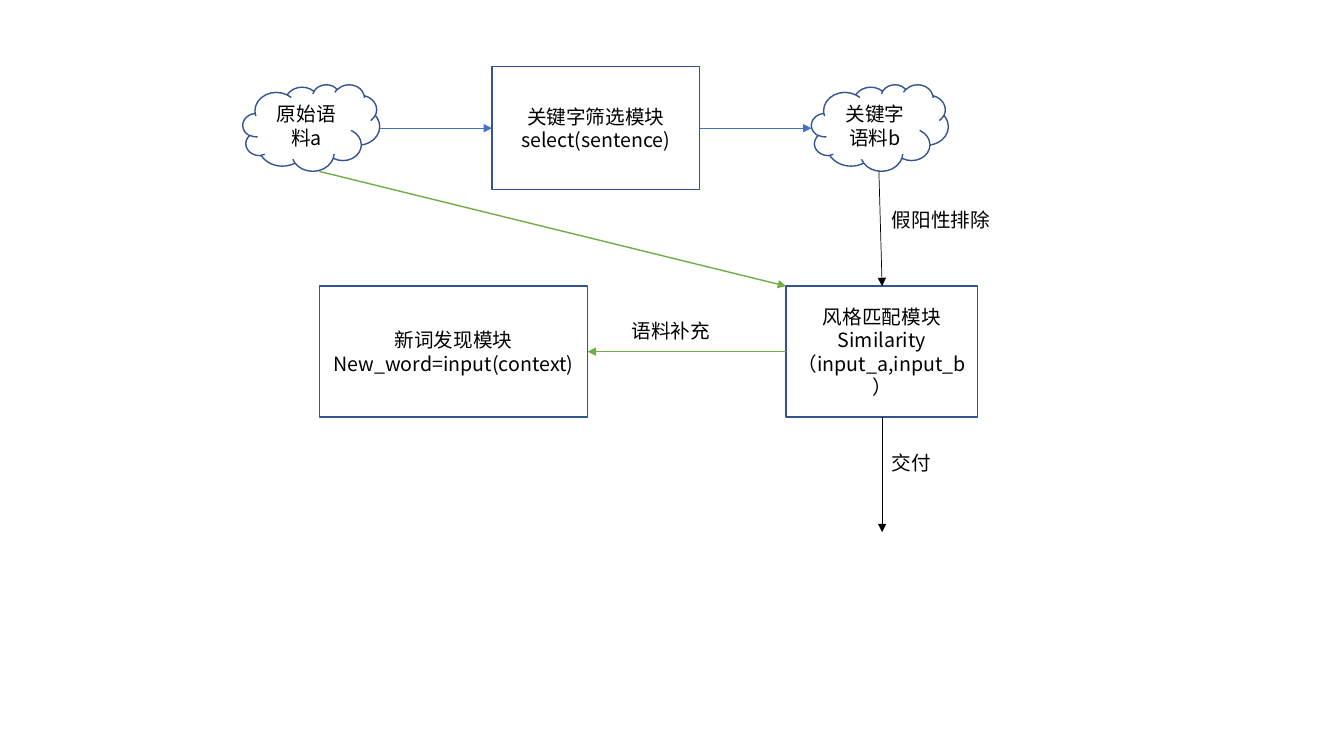
from lxml import etree
from pptx import Presentation
from pptx import util as u
from pptx.dml import color
from pptx.enum import shapes, text
from pptx.oxml import ns

FONT = "Noto Sans CJK SC"
BLACK, WHITE, NAVY, BLUE, GREEN = "000000", "FFFFFF", "325491", "4472C4", "70AD47"
RECTANGLE = shapes.MSO_SHAPE.RECTANGLE
CLOUD = shapes.MSO_SHAPE.CLOUD


def rgb(value):
    return color.RGBColor.from_string(value)


def write(frame, lines, align):
    frame.text = "\n".join(lines)
    for para in frame.paragraphs:
        para.alignment = align
        para.font.size = u.Pt(14)
        para.font.color.rgb = rgb(BLACK)
        para.font.name = FONT
        properties = para._p.pPr.find(ns.qn("a:defRPr"))
        etree.SubElement(properties, ns.qn("a:ea"), typeface=FONT)


def add_node(page, kind, left, top, width, height, *lines):
    node = page.shapes.add_shape(kind, u.Cm(left), u.Cm(top), u.Cm(width), u.Cm(height))
    node.shadow.inherit = False
    node.fill.solid()
    node.fill.fore_color.rgb = rgb(WHITE)
    node.line.color.rgb = rgb(NAVY)
    node.line.width = u.Pt(1)
    node.text_frame.word_wrap = True
    node.text_frame.vertical_anchor = text.MSO_ANCHOR.MIDDLE
    write(node.text_frame, lines, text.PP_ALIGN.CENTER)


def add_label(page, left, top, width, wording):
    box = page.shapes.add_textbox(u.Cm(left), u.Cm(top), u.Cm(width), u.Cm(0.86))
    box.text_frame.word_wrap = False
    box.text_frame.auto_size = text.MSO_AUTO_SIZE.SHAPE_TO_FIT_TEXT
    write(box.text_frame, [wording], text.PP_ALIGN.LEFT)


def add_arrow(page, start, end, colour, width):
    arrow = page.shapes.add_connector(
        shapes.MSO_CONNECTOR.STRAIGHT, *(u.Cm(value) for value in start + end)
    )
    arrow.line.color.rgb = rgb(colour)
    arrow.line.width = u.Pt(width)
    etree.SubElement(arrow.line._get_or_add_ln(), ns.qn("a:tailEnd"), type="triangle")
    etree.SubElement(arrow._element.spPr, ns.qn("a:effectLst"))


def main():
    deck = Presentation()
    deck.slide_width, deck.slide_height = u.Cm(33.87), u.Cm(19.05)
    page = deck.slides.add_slide(deck.slide_layouts[6])

    add_node(page, RECTANGLE, 12.4, 1.68, 5.23, 3.1, "关键字筛选模块", "select(sentence)")
    add_node(page, RECTANGLE, 8.05, 7.21, 6.76, 3.3, "新词发现模块", "New_word=input(context)")
    add_node(page, RECTANGLE, 19.81, 7.21, 4.83, 3.3,
             "风格匹配模块", "Similarity（input_a,input_b）")
    for left, wording in ((6.12, "原始语料a"), (20.45, "关键字语料b")):
        add_node(page, CLOUD, left, 2.13, 3.45, 2.18, wording)

    add_arrow(page, (9.57, 3.23), (12.4, 3.23), BLUE, 0.5)
    add_arrow(page, (17.63, 3.23), (20.45, 3.23), BLUE, 0.5)
    add_arrow(page, (22.15, 4.32), (22.23, 7.21), BLACK, 0.5)
    add_arrow(page, (22.23, 10.51), (22.23, 13.41), BLACK, 0.5)
    add_arrow(page, (8.05, 4.32), (19.81, 7.21), GREEN, 1)
    add_arrow(page, (19.81, 8.86), (14.81, 8.86), GREEN, 1)

    add_label(page, 22.23, 5.11, 3, "假阳性排除")
    add_label(page, 22.23, 11.23, 1.5, "交付")
    add_label(page, 15.67, 7.92, 2.51, "语料补充")

    deck.save("out.pptx")


if __name__ == "__main__":
    main()
